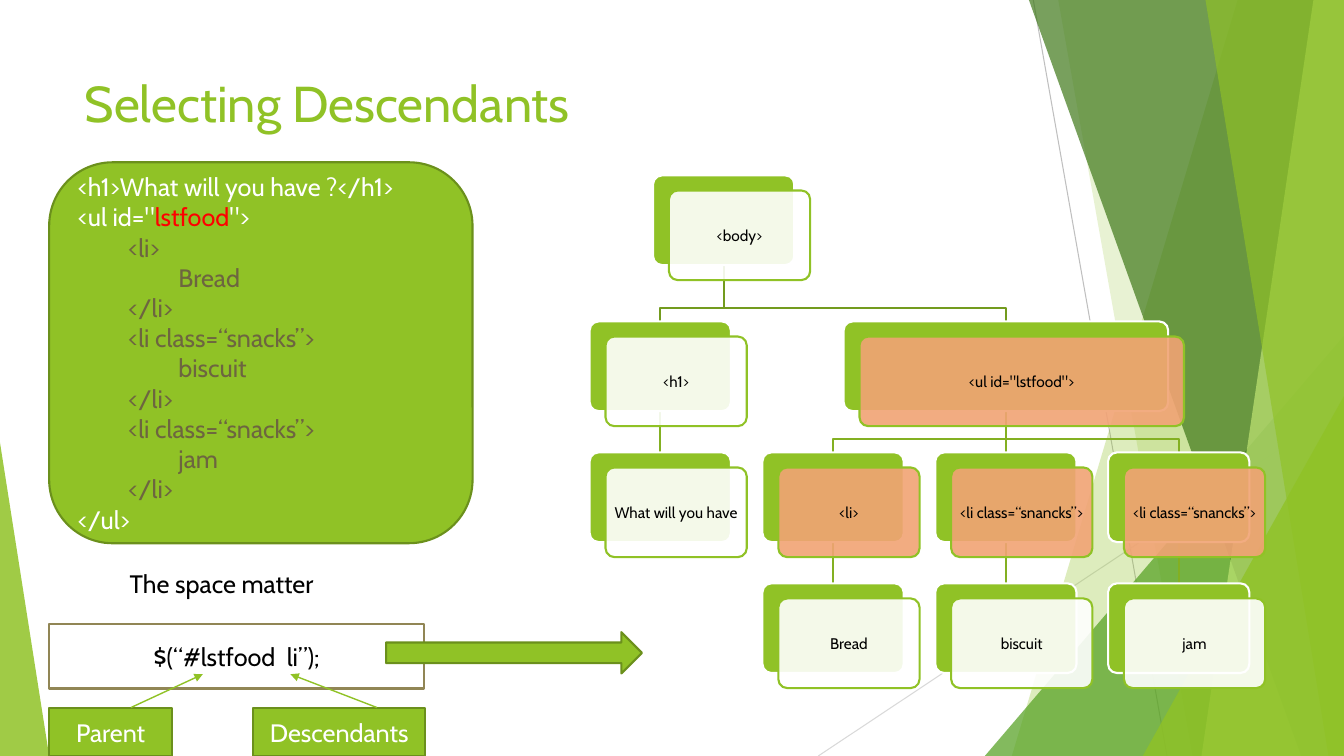
import pptx
import pptx.dml.color
import pptx.enum.shapes
import pptx.enum.text
import pptx.oxml.ns
import pptx.util
from lxml import etree

Cm = pptx.util.Cm
SHAPE = pptx.enum.shapes.MSO_SHAPE
ALIGN = pptx.enum.text.PP_ALIGN
ANCHOR = pptx.enum.text.MSO_ANCHOR
WIDTH, HEIGHT = 33.87, 19.05
FONT = "Cabin"
GREEN, DARK_GREEN, BROWN = "90C226", "6B901C", "6D6540"
WHITE, BLACK, ORANGE, RED = "FFFFFF", "000000", "F1A374", "FF0000"

NODE_WIDTH, NODE_HEIGHT = 3.56, 2.26
ROW_TOPS = [4.42, 8.1, 11.4, 14.7]
FIRST_COLUMN, COLUMN_STEP = 16.64, 4.355

NODES = {
    "body": ("<body>", 0.367, 0, WHITE, NODE_WIDTH, None),
    "h1": ("<h1>", 0, 1, WHITE, NODE_WIDTH, "body"),
    "heading": ("What will you have", 0, 2, WHITE, NODE_WIDTH, "h1"),
    "ul": ('<ul id="lstfood">', 2, 1, ORANGE, 8.18, "body"),
    "li 1": ("<li>", 1, 2, ORANGE, NODE_WIDTH, "ul"),
    "bread": ("Bread", 1, 3, WHITE, NODE_WIDTH, "li 1"),
    "li 2": ("<li class=“snancks”>", 2, 2, ORANGE, NODE_WIDTH, "ul"),
    "biscuit": ("biscuit", 2, 3, WHITE, NODE_WIDTH, "li 2"),
    "li 3": ("<li class=“snancks”>", 3, 2, ORANGE, NODE_WIDTH, "ul"),
    "jam": ("jam", 3, 3, WHITE, NODE_WIDTH, "li 3"),
}

MARKUP = [
    (0, [("<h1>What will you have ?</h1>", WHITE)]),
    (0, [('<ul id="', WHITE), ("lstfood", RED), ('">', WHITE)]),
    (1, [("<li>", BROWN)]),
    (2, [("Bread", BROWN)]),
    (1, [("</li>", BROWN)]),
    (1, [("<li class=“snacks”>", BROWN)]),
    (2, [("biscuit", BROWN)]),
    (1, [("</li>", BROWN)]),
    (1, [("<li class=“snacks”>", BROWN)]),
    (2, [("jam", BROWN)]),
    (1, [("</li>", BROWN)]),
    (0, [("</ul>", WHITE)]),
]


def colour(value):
    return pptx.dml.color.RGBColor.from_string(value)


def set_values(target, values):
    for name, value in values.items():
        setattr(target, name, value)


def paint(shape, fill=None, line=None, opacity=100):
    shape.shadow.inherit = False
    if fill:
        shape.fill.solid()
        shape.fill.fore_color.rgb = colour(fill)
        if opacity < 100:
            tone = shape.fill._xPr.find(".//" + pptx.oxml.ns.qn("a:srgbClr"))
            alpha = etree.SubElement(tone, pptx.oxml.ns.qn("a:alpha"))
            alpha.set("val", str(opacity * 1000))
    else:
        shape.fill.background()
    if line:
        shape.line.color.rgb = colour(line)
        shape.line.width = pptx.util.Pt(1.5)
    else:
        shape.line.fill.background()


def write(shape, lines, size=18, align=ALIGN.LEFT, **frame_values):
    frame = shape.text_frame
    set_values(frame, {"word_wrap": True, "vertical_anchor": ANCHOR.MIDDLE, **frame_values})
    for index, (level, parts) in enumerate(lines):
        para = frame.add_paragraph() if index else frame.paragraphs[0]
        para.alignment = align
        if level:
            para._p.get_or_add_pPr().set("marL", str(Cm(1.27 * level)))
        for text, tone in parts:
            span = para.add_run()
            span.text = text
            set_values(span.font, {"name": FONT, "size": pptx.util.Pt(size)})
            span.font.color.rgb = colour(tone)


def add_box(page, kind, place, fill, line=None, opacity=100, adjustment=None):
    box = page.shapes.add_shape(kind, *map(Cm, place))
    if adjustment is not None:
        box.adjustments[0] = adjustment
    paint(box, fill, line, opacity)
    return box


def add_outline(page, points, close, **look):
    start, *rest = [(Cm(x), Cm(y)) for x, y in points]
    builder = page.shapes.build_freeform(*start, scale=1.0)
    builder.add_line_segments(rest, close=close)
    paint(builder.convert_to_shape(), **look)


def add_line(page, ends, tone, width, arrow=False):
    kind = pptx.enum.shapes.MSO_CONNECTOR.STRAIGHT
    line = page.shapes.add_connector(kind, *map(Cm, ends))
    line.line.color.rgb = colour(tone)
    line.line.width = pptx.util.Pt(width)
    if arrow:
        head = etree.SubElement(line.line._get_or_add_ln(), pptx.oxml.ns.qn("a:tailEnd"))
        head.set("type", "triangle")
    etree.SubElement(line._element.spPr, pptx.oxml.ns.qn("a:effectLst"))


def add_band(page, top, bottom, fill, opacity):
    points = [(top, 0), (WIDTH, 0), (WIDTH, HEIGHT), (bottom, HEIGHT)]
    add_outline(page, points, True, fill=fill, opacity=opacity)


def add_corner(page, left, top, width, fill, opacity, apex):
    place = (left, top, width, HEIGHT - top)
    add_box(page, SHAPE.ISOSCELES_TRIANGLE, place, fill, None, opacity, apex)


def add_backdrop(page):
    add_line(page, (26.04, 0, 29.41, HEIGHT), "BFBFBF", 0.75)
    add_line(page, (WIDTH, 10.24, 20.62, HEIGHT), "D9D9D9", 0.75)
    add_band(page, 31.19, 25.5, GREEN, 30)
    add_band(page, 26.67, 30.05, GREEN, 20)
    add_corner(page, 24.82, 8.46, 9.05, "54A021", 72, 1)
    add_band(page, 25.93, 32.79, "3F7819", 70)
    add_band(page, 33.1, 30.28, "C0E474", 70)
    add_band(page, 30.38, 33.48, GREEN, 65)
    add_corner(page, 28.8, 9.98, 5.07, GREEN, 80, 1)
    add_corner(page, 0, 11.15, 1.24, GREEN, 85, 0)


def add_title(page, text):
    title = page.shapes.title
    place = dict(zip(("left", "top", "width", "height"), map(Cm, (1.88, 1.7, 23.88, 2.26))))
    set_values(title, place)
    write(title, [(0, [(text, GREEN)])], 36, vertical_anchor=ANCHOR.TOP,
          auto_size=pptx.enum.text.MSO_AUTO_SIZE.NONE)


def node_centre(column):
    return FIRST_COLUMN + column * COLUMN_STEP


def add_branch(page, column, row, parent):
    _, parent_column, parent_row, *_ = NODES[parent]
    tone = "739B1E" if parent_row == 0 else "83B022"
    x, parent_x = node_centre(column), node_centre(parent_column)
    top, bottom = ROW_TOPS[parent_row] + NODE_HEIGHT, ROW_TOPS[row]
    if x == parent_x:
        add_line(page, (x, top, x, bottom), tone, 1.5)
    else:
        bend = bottom - 0.33
        points = [(parent_x, top), (parent_x, bend), (x, bend), (x, bottom)]
        add_outline(page, points, False, line=tone)


def add_node(page, text, column, row, fill, width):
    left, top = node_centre(column) - width / 2, ROW_TOPS[row]
    kind = SHAPE.ROUNDED_RECTANGLE
    add_box(page, kind, (left, top, width, NODE_HEIGHT), GREEN, WHITE, 100, 0.1)
    place = (left + 0.4, top + 0.38, width, NODE_HEIGHT)
    card = add_box(page, kind, place, fill, GREEN, 90, 0.1)
    write(card, [(0, [(text, BLACK)])], 11, ALIGN.CENTER,
          margin_left=Cm(0.1), margin_right=Cm(0.1))


def add_tree(page):
    for _, column, row, _, _, parent in reversed(NODES.values()):
        if parent:
            add_branch(page, column, row, parent)
    for *node, _ in NODES.values():
        add_node(page, *node)


def add_label(page, text, place, fill, line, tone):
    box = add_box(page, SHAPE.RECTANGLE, place, fill, line)
    write(box, [(0, [(text, tone)])], align=ALIGN.CENTER)


def main():
    deck = pptx.Presentation()
    set_values(deck, {"slide_width": Cm(WIDTH), "slide_height": Cm(HEIGHT)})
    page = deck.slides.add_slide(deck.slide_layouts[5])
    add_backdrop(page)
    add_title(page, "Selecting Descendants")
    add_tree(page)
    add_label(page, "$(“#lstfood  li”);", (1.24, 15.72, 9.45, 1.63), WHITE, "918655", BLACK)
    add_box(page, SHAPE.RIGHT_ARROW, (9.73, 15.93, 6.45, 1.04), GREEN, DARK_GREEN)
    markup = add_box(page, SHAPE.ROUNDED_RECTANGLE, (1.24, 4.09, 10.67, 9.6), GREEN, DARK_GREEN)
    write(markup, MARKUP)
    remark = page.shapes.add_textbox(*map(Cm, (3.02, 14.2, 6.7, 1.02)))
    write(remark, [(0, [("The space matter", BLACK)])], vertical_anchor=ANCHOR.TOP)
    add_label(page, "Parent", (1.24, 17.85, 3.1, 1.2), GREEN, DARK_GREEN, WHITE)
    add_label(page, "Descendants", (6.38, 17.85, 4.34, 1.2), GREEN, DARK_GREEN, WHITE)
    add_line(page, (3.3, 17.83, 5.11, 16.99), GREEN, 1, True)
    add_line(page, (9.5, 17.83, 7.32, 16.99), GREEN, 1, True)
    deck.save("out.pptx")


if __name__ == "__main__":
    main()
